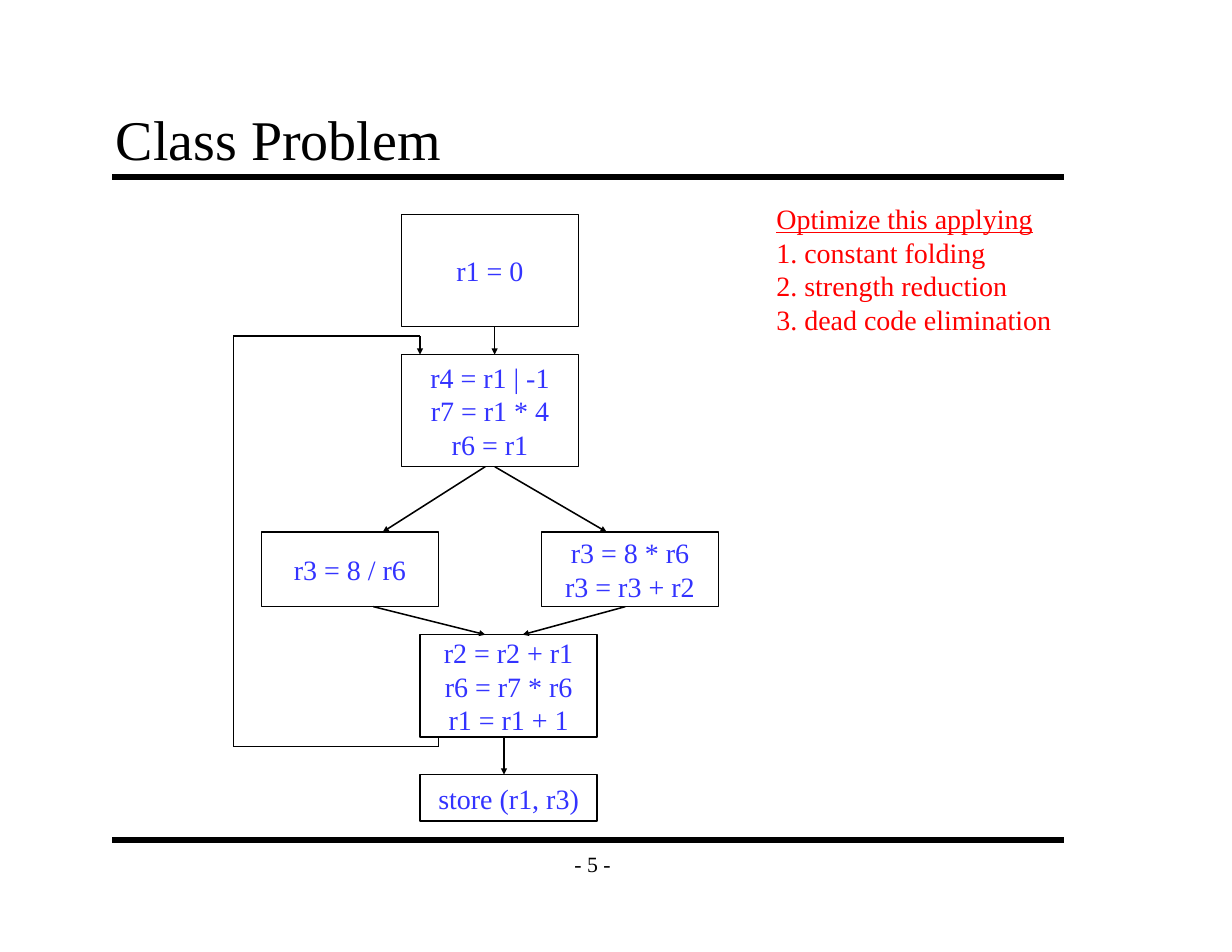
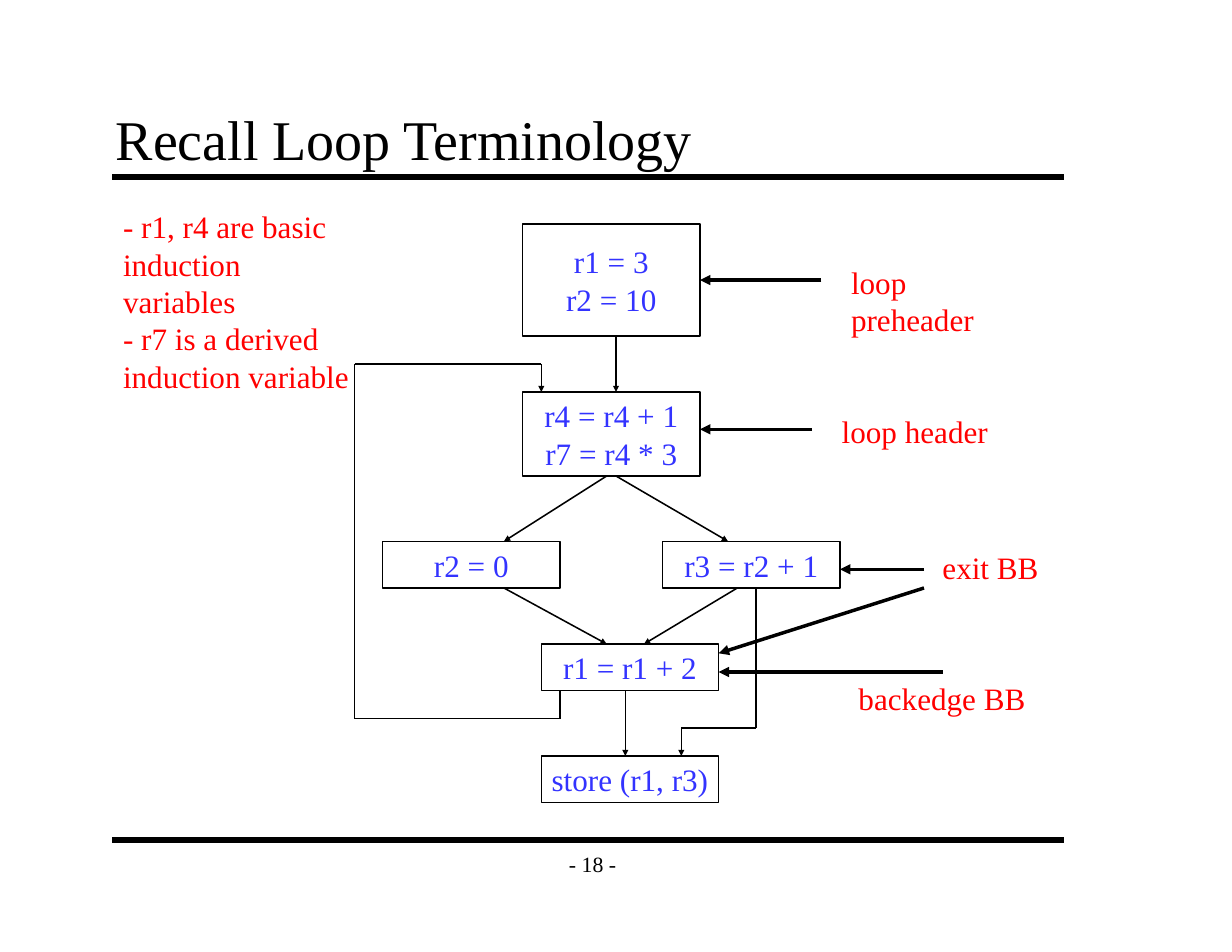
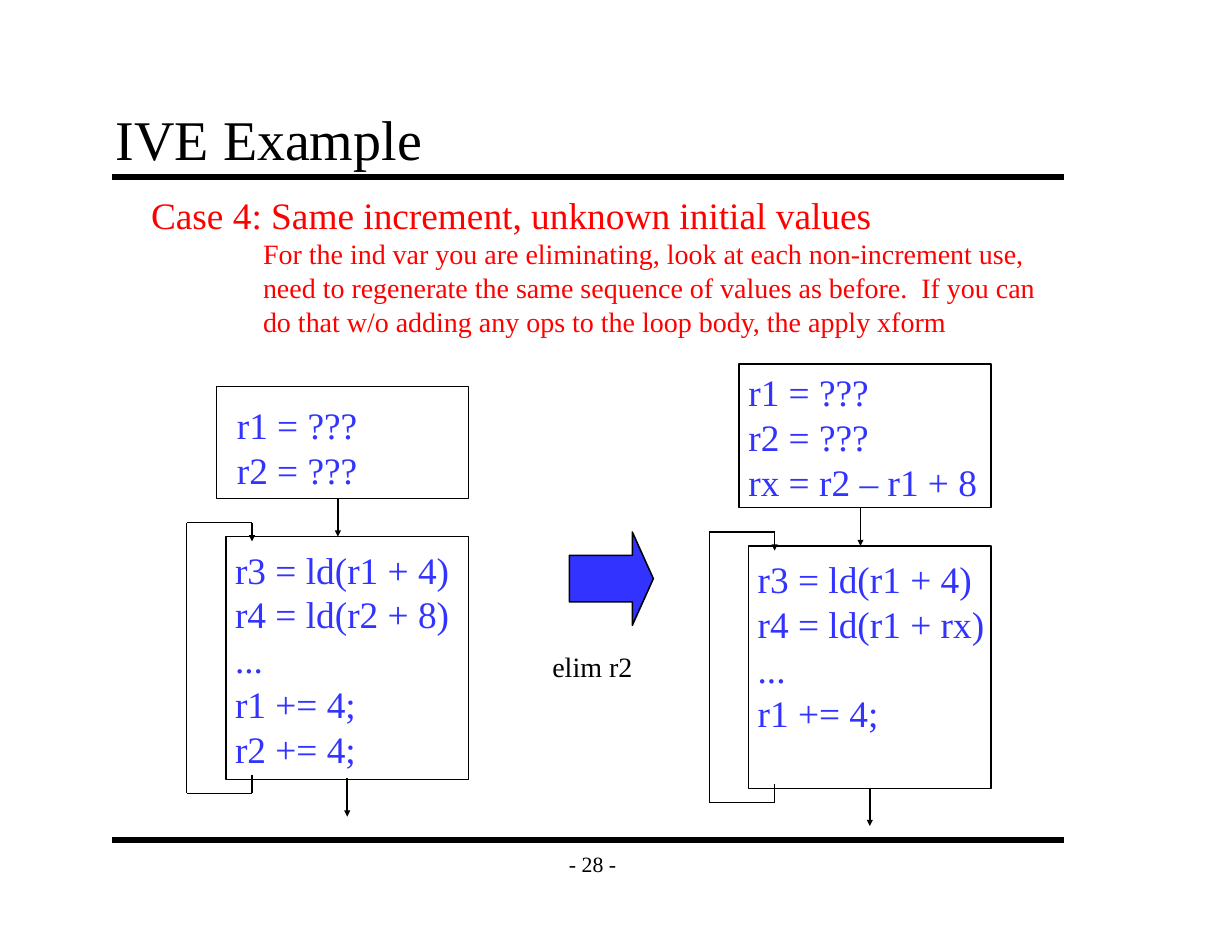
import itertools

import pptx
import pptx.dml.color
import pptx.enum.shapes
import pptx.enum.text
import pptx.oxml
import pptx.oxml.ns
import pptx.util

WIDE, HIGH = 11, 8.5
CELL = 12  # grid cells to the inch; all places below are in cells
FONT = "Times New Roman"
INK, CODE, NOTE = "000000", "3333FF", "FF0000"
SHAPE = pptx.enum.shapes.MSO_SHAPE
ALIGN = pptx.enum.text.PP_ALIGN
ANCHOR = pptx.enum.text.MSO_ANCHOR


def cell(count):
    """Turn grid cells into a length."""
    return pptx.util.Inches(count / CELL)


def tint(hue):
    """Turn a hex string into a colour."""
    return pptx.dml.color.RGBColor.from_string(hue)


def style(frame, lines, size, hue, align=ALIGN.LEFT):
    """Fill a text frame and format all its runs."""
    frame.text = "\n".join(lines)
    for para in frame.paragraphs:
        para.alignment = align
        for run in para.runs:
            run.font.name = FONT
            run.font.size = pptx.util.Pt(size)
            run.font.color.rgb = tint(hue)


def label(slide, place, lines, size, hue=NOTE):
    """Add a wrapping text box and return its frame."""
    frame = slide.shapes.add_textbox(*map(cell, place)).text_frame
    frame.word_wrap = True
    style(frame, lines, size, hue)
    return frame


def block(slide, place, lines=(), size=18, kind=SHAPE.RECTANGLE, fill=None):
    """Add an outlined shape, with centred code if there is any."""
    shape = slide.shapes.add_shape(kind, *map(cell, place))
    shape.shadow.inherit = False
    if fill:
        shape.fill.solid()
        shape.fill.fore_color.rgb = tint(fill)
    else:
        shape.fill.background()
    shape.line.color.rgb = tint(INK)
    shape.line.width = pptx.util.Pt(1)
    if lines:
        frame = shape.text_frame
        frame.word_wrap = False
        frame.vertical_anchor = ANCHOR.MIDDLE
        style(frame, lines, size, CODE, ALIGN.CENTER)
    return shape


def line(slide, start, end, width=1, tip=True):
    """Draw a straight line, with an arrowhead at its end if tip is set."""
    link = slide.shapes.add_connector(
        pptx.enum.shapes.MSO_CONNECTOR.STRAIGHT, *map(cell, start + end))
    link.line.color.rgb = tint(INK)
    link.line.width = pptx.util.Pt(width)
    space = pptx.oxml.ns.nsdecls("a")
    if tip:
        size = "sm" if width == 1 else "med"
        link.line._get_or_add_ln().append(pptx.oxml.parse_xml(
            f'<a:tailEnd {space} type="triangle" w="{size}" len="{size}"/>'))
    link._element.spPr.append(pptx.oxml.parse_xml(f"<a:effectLst {space}/>"))


def route(slide, *points):
    """Draw a bent path whose last leg has an arrowhead."""
    for start, end in itertools.pairwise(points):
        line(slide, start, end, tip=end == points[-1])


def loop(slide, start, low, left, top, end):
    """Draw a back edge from start, round the left side, down to end."""
    route(slide, start, (start[0], low), (left, low),
          (left, top), (end[0], top), end)


def inset(frame, anchor):
    """Give a title or footer frame its margins and anchor."""
    frame.margin_left = frame.margin_right = pptx.util.Inches(0.11)
    frame.margin_top = frame.margin_bottom = pptx.util.Inches(0.06)
    frame.vertical_anchor = anchor


def page(deck, title, number):
    """Add a slide with the shared rules, title and page number."""
    slide = deck.slides.add_slide(deck.slide_layouts[6])
    for row in (19, 90):
        line(slide, (12, row), (114, row), 4, False)
    foot = label(slide, (59, 90, 9, 5), [f"- {number} -"], 14, INK)
    foot.word_wrap = False
    foot.paragraphs[0].alignment = ALIGN.CENTER
    inset(foot, ANCHOR.MIDDLE)
    inset(label(slide, (11.1, 11.1, 102, 8), [title], 36, INK), ANCHOR.BOTTOM)
    return slide


def flow(slide, size, blocks, links):
    """Draw code blocks of one width and the arrows between them."""
    for left, top, high, *lines in blocks:
        block(slide, (left, top, 19, high), lines, size)
    for start, end in links:
        line(slide, start, end)


def problem(deck):
    """Build the class problem slide."""
    slide = page(deck, "Class Problem", 5)
    flow(slide, 18, [
        (43, 23, 12, "r1 = 0"),
        (43, 38, 12, "r4 = r1 | -1", "r7 = r1 * 4", "r6 = r1"),
        (28, 57, 8, "r3 = 8 / r6"),
        (58, 57, 8, "r3 = 8 * r6", "r3 = r3 + r2"),
        (45, 68, 11, "r2 = r2 + r1", "r6 = r7 * r6", "r1 = r1 + 1"),
        (45, 83, 5, "store (r1, r3)"),
    ], [
        ((53, 35), (53, 38)), ((52, 50), (41, 57)), ((53, 50), (65, 57)),
        ((40, 65), (52, 68)), ((67, 65), (56, 68)), ((54, 79), (54, 83)),
    ])
    loop(slide, (47, 79), 80, 25, 36, (45, 38))
    frame = label(slide, (82, 21, 34, 15.6), [
        "Optimize this applying", "1. constant folding",
        "2. strength reduction", "3. dead code elimination"], 18)
    frame.paragraphs[0].runs[0].font.underline = True


def terms(deck):
    """Build the loop terminology slide."""
    slide = page(deck, "Recall Loop Terminology", 18)
    flow(slide, 20, [
        (56, 24, 12, "r1 = 3", "r2 = 10"),
        (56, 42, 9, "r4 = r4 + 1", "r7 = r4 * 3"),
        (41, 58, 5, "r2 = 0"),
        (71, 58, 5, "r3 = r2 + 1"),
        (58, 69, 5, "r1 = r1 + 2"),
        (58, 81, 5, "store (r1, r3)"),
    ], [
        ((66, 36), (66, 42)), ((65, 51), (54, 58)), ((66, 51), (78, 58)),
        ((54, 63), (65, 69)), ((79, 63), (69, 69)), ((67, 74), (67, 81)),
    ])
    loop(slide, (60, 74), 77, 38, 39, (58, 42))
    route(slide, (81, 63), (81, 78), (73, 78), (73, 81))
    for start, end in [((88, 30), (75, 30)), ((87, 46), (75, 46)),
                       ((101, 72), (77, 72)), ((99, 61), (90, 61)),
                       ((99, 63), (77, 70))]:
        line(slide, start, end, 2.25)
    for left, top, wide, text in [(90, 27.6, 20, "loop preheader"),
                                  (89, 43.6, 20, "loop header"),
                                  (90.8, 72.2, 22, "backedge BB"),
                                  (99.8, 58.2, 14, "exit BB")]:
        label(slide, (left, top, wide, 5.2), [text], 20)
    label(slide, (12, 21.65, 27, 17.2), [
        "- r1, r4 are basic", "induction variables",
        "- r7 is a derived", "induction variable"], 20)


def panel(slide, across, down, head, at, top, body):
    """Draw a preheader and its loop, moved across and down the grid."""
    def move(left, row):
        return left + across, row + down

    label(slide, (*at, 28, 5 * len(head)), head, 24, CODE)
    label(slide, (*move(24, 58), 28, 5 * len(body)), body, 24, CODE)
    block(slide, (*move(24.2, 57.5), 26, 26))
    block(slide, (23.2 + across, top, 27, 53.4 + down - top))
    line(slide, move(36.2, 53.4), move(36.2, 57.5))
    line(slide, move(37.2, 83.4), move(37.2, 87.5))
    loop(slide, move(27, 83), 85 + down, 20 + across, 56 + down, move(27, 58))


def example(deck):
    """Build the induction variable elimination slide."""
    slide = page(deck, "IVE Example", 28)
    frame = label(slide, (15, 20, 99, 16.8), [
        "Case 4: Same increment, unknown initial values",
        "For the ind var you are eliminating, look at each non-increment use,",
        "need to regenerate the same sequence of values as before.  If you can",
        "do that w/o adding any ops to the loop body, the apply xform"], 18)
    first, *rest = frame.paragraphs
    first.runs[0].font.size = pptx.util.Pt(24)
    for para in rest:
        para._p.get_or_add_pPr().set("marL", str(cell(12)))
    head = ["r1 = ???", "r2 = ???"]
    panel(slide, 0, 0, head, (24.2, 42.5), 41.4,
          ["r3 = ld(r1 + 4)", "r4 = ld(r2 + 8)", "...",
           "r1 += 4;", "r2 += 4;"])
    arrow = block(slide, (61, 57, 9, 10), kind=SHAPE.RIGHT_ARROW, fill=CODE)
    arrow.adjustments[0], arrow.adjustments[1] = 0.5, 0.25
    panel(slide, 56, 1, head + ["rx = r2 – r1 + 8"], (79, 39), 39,
          ["r3 = ld(r1 + 4)", "r4 = ld(r1 + rx)", "...", "r1 += 4;"])
    label(slide, (58, 69, 13, 4.8), ["elim r2"], 18, INK)


def main():
    """Build and save the deck."""
    deck = pptx.Presentation()
    deck.slide_width = pptx.util.Inches(WIDE)
    deck.slide_height = pptx.util.Inches(HIGH)
    for build in (problem, terms, example):
        build(deck)
    deck.save("out.pptx")


main()
